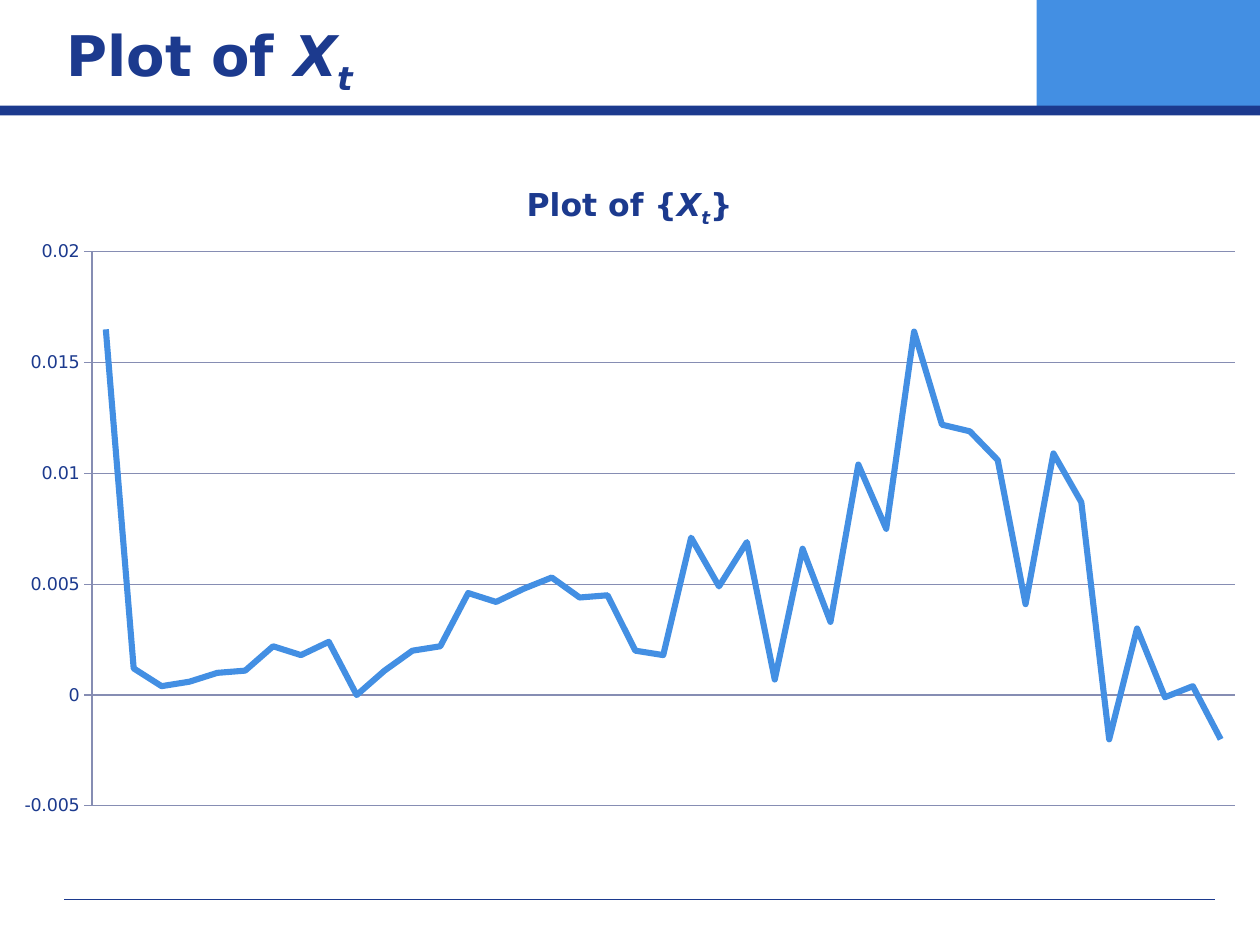
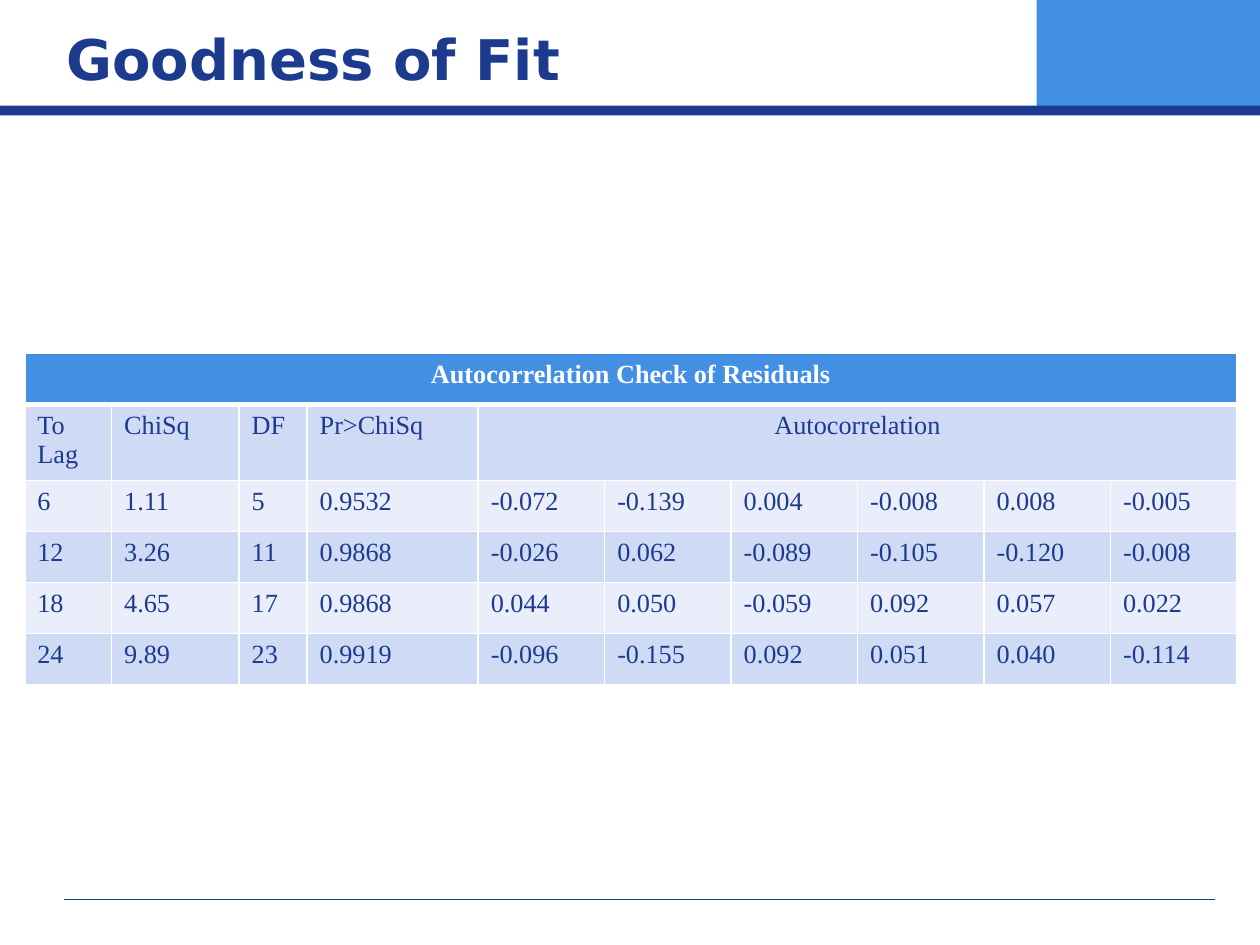
from lxml.etree import SubElement
from pptx import Presentation
from pptx.chart.data import CategoryChartData
from pptx.dml.color import RGBColor
from pptx.enum.chart import XL_CHART_TYPE as ChartType, XL_TICK_LABEL_POSITION as LabelPosition
from pptx.enum.chart import XL_TICK_MARK as TickMark
from pptx.enum.shapes import MSO_CONNECTOR as Connector, MSO_SHAPE as Shape
from pptx.enum.text import MSO_ANCHOR as Anchor, PP_ALIGN as Align
from pptx.oxml import parse_xml
from pptx.oxml.ns import nsdecls, qn
from pptx.util import Cm, Pt

COLORS = {"navy": "1C3A8E", "blue": "438FE3", "white": "FFFFFF",
          "band_dark": "CFDBF4", "band_light": "E9EEFA", "grid": "868DB3"}
SANS, SERIF = "DejaVu Sans", "Times New Roman"
WIDTH, HEIGHT = 25.4, 19.05

SERIES_VALUES = [
    0.0165, 0.0012, 0.0004, 0.0006, 0.001, 0.0011, 0.0022, 0.0018, 0.0024, 0,
    0.0011, 0.002, 0.0022, 0.0046, 0.0042, 0.0048, 0.0053, 0.0044, 0.0045, 0.002,
    0.0018, 0.0071, 0.0049, 0.0069, 0.0007, 0.0066, 0.0033, 0.0104, 0.0075, 0.0164,
    0.0122, 0.0119, 0.0106, 0.0041, 0.0109, 0.0087, -0.002, 0.003, -0.0001, 0.0004,
    -0.002]

RESIDUAL_ROWS = [
    ["Autocorrelation Check of Residuals"],
    ["To Lag", "ChiSq", "DF", "Pr>ChiSq", "Autocorrelation"],
    ["6", "1.11", "5", "0.9532", "-0.072", "-0.139", "0.004", "-0.008", "0.008", "-0.005"],
    ["12", "3.26", "11", "0.9868", "-0.026", "0.062", "-0.089", "-0.105", "-0.120", "-0.008"],
    ["18", "4.65", "17", "0.9868", "0.044", "0.050", "-0.059", "0.092", "0.057", "0.022"],
    ["24", "9.89", "23", "0.9919", "-0.096", "-0.155", "0.092", "0.051", "0.040", "-0.114"]]
COLUMN_WIDTHS = [1.75, 2.57, 1.37, 3.45] + [2.55] * 6
ROW_HEIGHT = 1.03


def rgb(name):
    return RGBColor.from_string(COLORS[name])


def add_run(paragraph, text, size, color="navy", font=SANS, bold=True, style=""):
    """Add one run; style is "", "italic" or "subscript" (italic and lowered)."""
    run = paragraph.add_run()
    run.text = text
    run.font.size, run.font.name, run.font.bold = Pt(size), font, bold
    run.font.color.rgb = rgb(color)
    if style:
        run.font.italic = True
    if style == "subscript":
        run.font._element.set("baseline", "-25000")


def add_band(slide, left, top, width, height, color):
    band = slide.shapes.add_shape(Shape.RECTANGLE, Cm(left), Cm(top), Cm(width), Cm(height))
    band.shadow.inherit = False
    band.fill.solid()
    band.fill.fore_color.rgb = rgb(color)
    band.line.fill.background()


def add_frame(slide):
    """Corner block, footer rule and the band under the title."""
    add_band(slide, 20.9, 0, WIDTH - 20.9, 2.18, "blue")
    rule = slide.shapes.add_connector(Connector.STRAIGHT, Cm(1.3), Cm(18.13), Cm(24.5), Cm(18.13))
    rule.line.color.rgb = rgb("navy")
    rule.line.width = Pt(0.75)
    SubElement(rule._element.spPr, qn("a:effectLst"))
    add_band(slide, 0, 2.13, WIDTH, 0.2, "navy")


def add_title(slide, parts):
    box = slide.shapes.add_textbox(Cm(1.09), Cm(0.33), Cm(20.02), Cm(1.7))
    box.text_frame.word_wrap = True
    box.text_frame.vertical_anchor = Anchor.MIDDLE
    for text, style in parts:
        add_run(box.text_frame.paragraphs[0], text, 32, style=style)


def new_slide(deck, title_parts):
    slide = deck.slides.add_slide(deck.slide_layouts[6])
    add_frame(slide)
    add_title(slide, title_parts)
    return slide


def manual_layout(target="", **fractions):
    """Chart layout element from fractions of the chart area."""
    inner = f'<c:layoutTarget val="{target}"/>' if target else ""
    inner += "".join(f'<c:{key}Mode val="edge"/>' for key in "xy")
    inner += "".join(f'<c:{key} val="{value}"/>' for key, value in fractions.items())
    return parse_xml(f'<c:layout {nsdecls("c")}><c:manualLayout>{inner}'
                     '</c:manualLayout></c:layout>')


def set_layout(element, layout, after=None):
    for old in element.findall(qn("c:layout")):
        element.remove(old)
    if after is None:
        element.insert(0, layout)
    else:
        after.addnext(layout)


def style_value_axis(axis):
    axis.minimum_scale, axis.maximum_scale, axis.major_unit = -0.005, 0.02, 0.005
    axis.major_tick_mark, axis.minor_tick_mark = TickMark.OUTSIDE, TickMark.NONE
    axis.tick_label_position = LabelPosition.LOW
    axis.tick_labels.number_format = "General"
    axis.tick_labels.number_format_is_linked = False
    axis.has_major_gridlines = True
    for line in (axis.format.line, axis.major_gridlines.format.line):
        line.color.rgb = rgb("grid")
        line.width = Pt(0.75)


def add_series_chart(slide, left, top, width, height):
    data = CategoryChartData()
    data.categories = [str(n) for n in range(1, len(SERIES_VALUES) + 1)]
    data.add_series("Series 1", SERIES_VALUES)
    chart = slide.shapes.add_chart(ChartType.LINE, Cm(left), Cm(top), Cm(width), Cm(height),
                                   data).chart
    chart.font.size, chart.font.name = Pt(10), SANS
    chart.font.color.rgb = rgb("navy")
    chart.has_legend = False
    chart.has_title = True
    heading = chart.chart_title.text_frame.paragraphs[0]
    for text, style in (("Plot of {", ""), ("X", "italic"), ("t", "subscript"), ("}", "")):
        add_run(heading, text, 18, style=style)
    title = chart.chart_title._element
    set_layout(title, manual_layout(x=0.415, y=0.04), after=title.find(qn("c:tx")))
    set_layout(chart._chartSpace.chart.plotArea,
               manual_layout("inner", x=0.073, y=0.144, w=0.907, h=0.822))

    chart.category_axis.visible = False
    style_value_axis(chart.value_axis)
    plot = chart.plots[0]
    plot.vary_by_categories = False
    series = plot.series[0]
    series.smooth = False
    series.format.line.color.rgb = rgb("blue")
    series.format.line.width = Pt(3.5)


def set_borders(cell, **widths):
    """White borders, 1 pt unless a side is given another width."""
    properties = cell._tc.get_or_add_tcPr()
    for side in "LRTB":
        properties.append(parse_xml(
            f'<a:ln{side} {nsdecls("a")} w="{Pt(widths.get(side, 1))}"><a:solidFill>'
            f'<a:srgbClr val="{COLORS["white"]}"/></a:solidFill></a:ln{side}>'))


def add_residual_table(slide, left, top):
    rows, columns = len(RESIDUAL_ROWS), len(COLUMN_WIDTHS)
    table = slide.shapes.add_table(rows, columns, Cm(left), Cm(top), Cm(sum(COLUMN_WIDTHS)),
                                   Cm(ROW_HEIGHT * rows)).table
    table.first_row = table.horz_banding = False
    for column, width in zip(table.columns, COLUMN_WIDTHS):
        column.width = Cm(width)
    for r, texts in enumerate(RESIDUAL_ROWS):
        table.rows[r].height = Cm(ROW_HEIGHT)
        is_heading = r == 0
        fill = "blue" if is_heading else ("band_dark" if r % 2 else "band_light")
        for c in range(columns):
            cell = table.cell(r, c)
            set_borders(cell, **({"B": 3} if is_heading else {"T": 3} if r == 1 else {}))
            cell.fill.solid()
            cell.fill.fore_color.rgb = rgb(fill)
        for c, text in enumerate(texts):
            paragraph = table.cell(r, c).text_frame.paragraphs[0]
            add_run(paragraph, text, 15, "white" if is_heading else "navy", SERIF, is_heading)
        last = len(texts) - 1
        if last < columns - 1:
            table.cell(r, last).merge(table.cell(r, columns - 1))
            paragraph.alignment = Align.CENTER


def main():
    deck = Presentation()
    deck.slide_width, deck.slide_height = Cm(WIDTH), Cm(HEIGHT)
    plot_slide = new_slide(deck, [("Plot of ", ""), ("X", "italic"), ("t", "subscript")])
    add_series_chart(plot_slide, 0, 3.12, WIDTH, 13.59)
    fit_slide = new_slide(deck, [("Goodness of Fit", "")])
    add_residual_table(fit_slide, 0.5, 7.13)
    deck.save("out.pptx")


if __name__ == "__main__":
    main()
